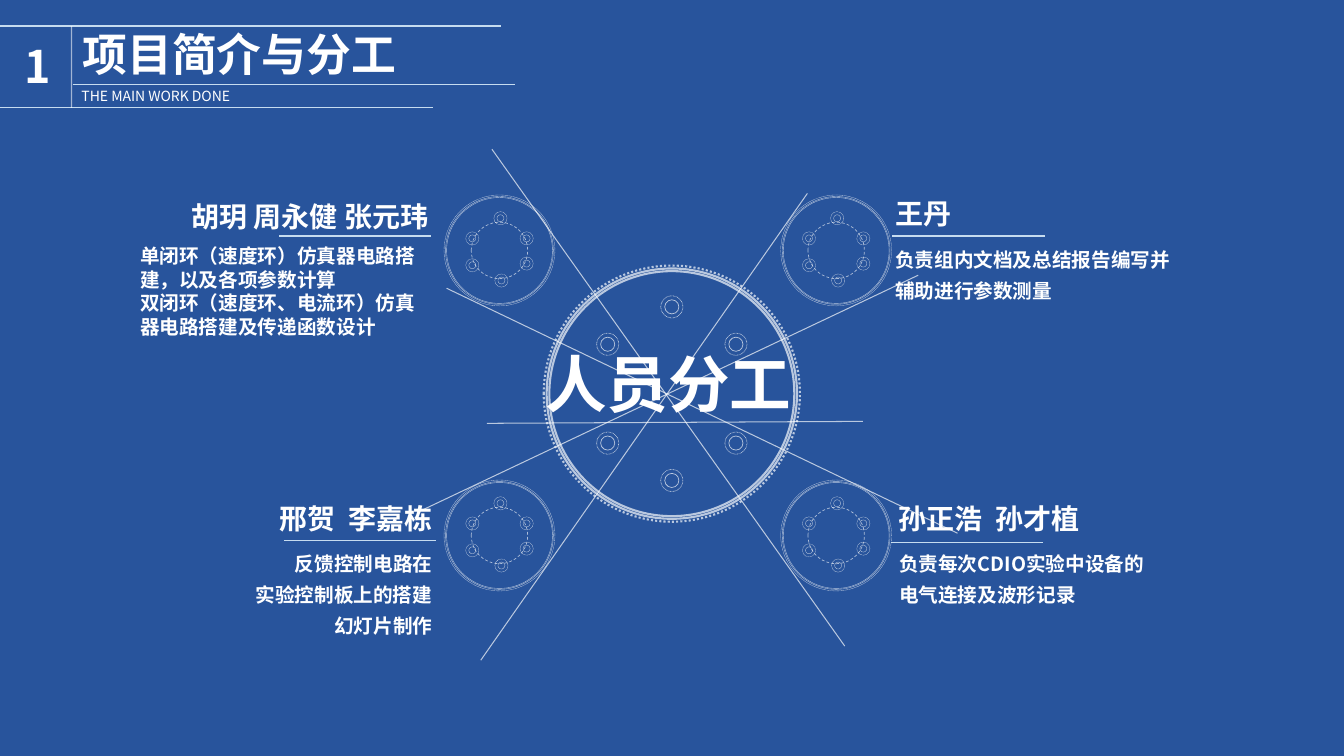
"""Build the slide on project introduction and division of work."""
from dataclasses import dataclass
from itertools import product
from typing import Optional

from lxml.etree import SubElement
from pptx import Presentation
from pptx.dml.color import RGBColor
from pptx.enum.dml import MSO_LINE as Dash
from pptx.enum.shapes import MSO_CONNECTOR as Conn, MSO_SHAPE as Shp
from pptx.enum.text import MSO_ANCHOR as Anchor, MSO_AUTO_SIZE as Auto, PP_ALIGN as Al
from pptx.oxml.ns import qn
from pptx.util import Pt


@dataclass(frozen=True)
class Theme:
    font: str = "Noto Sans CJK SC"
    back: str = "28549C"
    text: str = "FFFFFF"
    rule: str = "C6DCF0"
    hub_size: float = 44
    title_size: float = 32
    name_size: float = 20
    task_size: float = 14
    sub_size: float = 10


@dataclass(frozen=True)
class Pen:
    width: float
    color: str = "FFFFFF"
    alpha: int = 67
    dash: Optional[Dash] = None


@dataclass(frozen=True)
class Box:
    x: float
    y: float
    w: float
    h: float


@dataclass(frozen=True)
class Style:
    size: float
    bold: bool = True
    align: Al = Al.LEFT
    spacing: float = 1.0
    wrap: bool = True


@dataclass(frozen=True)
class Rule:
    x1: float
    y1: float
    x2: float
    y2: float


@dataclass(frozen=True)
class Team:
    holder: int
    names: str
    name_box: Box
    tasks: str
    task_box: Box
    underline: Rule
    name_align: Al = Al.LEFT
    task_align: Al = Al.LEFT
    spacing: float = 1.3


@dataclass(frozen=True)
class Wheel:
    rings: tuple[float, float, float]
    ring_width: float
    holes: tuple[tuple[float, float], ...]
    hole_sizes: tuple[float, float]
    hole_width: float


T = Theme()
RULE_PEN = Pen(1, T.rule, 100)
AXIS_PEN = Pen(0.75)
PITCH_PEN = Pen(0.5, alpha=61, dash=Dash.DASH)
PITCH_SIZE = 40.3

HEADER_RULES = (
    Rule(0, 18.7, 357.8, 18.7),
    Rule(0, 77, 309.6, 77),
    Rule(51.8, 60.5, 367.9, 60.5),
)
DIVIDER = Rule(51.1, 18.7, 51.1, 77)
AXES = (
    Rule(347.8, 302.4, 616.3, 301),
    Rule(319, 205.9, 684, 380.9),
    Rule(351.4, 106.6, 603.4, 461.5),
    Rule(343.4, 471.6, 576.7, 138.2),
    Rule(301.7, 364.3, 655.9, 196.6),
)
HUB_CENTER = (479.9, 281.2)
HUB = Wheel((175, 178.8, 183), 1.5,
            ((0, -62), (0, 62), *product((-45.8, 45.8), (-35.3, 35.3))),
            (15.8, 10.1), 0.5)
ROLLER_CENTERS = tuple(product((356.8, 597.3), (178.9, 382.5)))
ROLLER = Wheel((75.6, 77, 79.2), 0.25,
               ((0.7, -23), (-19.4, -8.6), (-19.4, 10.6),
                (1.4, 21.5), (19.4, -8.6), (19.4, 9.4)),
               (9.4, 5), 0.25)

TEAMS = (
    Team(1, "胡玥 周永健 张元玮", Box(100.1, 139, 213.1, 31.7),
         "单闭环（速度环）仿真器电路搭建，以及各项参数计算\n"
         "双闭环（速度环、电流环）仿真器电路搭建及传递函数设计",
         Box(92.9, 170.6, 220.3, 74.9), Rule(199.4, 168.5, 308.2, 168.5),
         name_align=Al.RIGHT, spacing=1.0),
    Team(2, "邢贺  李嘉栋", Box(178.6, 355, 137.5, 31.7),
         "反馈控制电路在\n实验控制板上的搭建\n幻灯片制作",
         Box(100.1, 385.9, 216, 73.4), Rule(203, 385.9, 311.8, 385.9),
         name_align=Al.RIGHT, task_align=Al.RIGHT),
    Team(3, "孙正浩  孙才植", Box(635, 355, 215.3, 31.7),
         "负责每次CDIO实验中设备的\n电气连接及波形记录",
         Box(635, 385.9, 215.3, 49), Rule(636.5, 387.4, 745.2, 387.4)),
    Team(4, "王丹", Box(632.2, 136.8, 111.6, 31.7),
         "负责组内文档及总结报告编写并辅助进行参数测量",
         Box(632.2, 168.5, 218.2, 51.1), Rule(637.2, 168.5, 746.6, 168.5)),
)


def write(sp, box: Box, text: str, style: Style) -> None:
    sp.left, sp.top, sp.width, sp.height = (Pt(v) for v in (box.x, box.y, box.w, box.h))
    tf = sp.text_frame
    tf.text = text
    tf.word_wrap, tf.auto_size, tf.vertical_anchor = style.wrap, Auto.NONE, Anchor.TOP
    for p in tf.paragraphs:
        p.alignment, p.line_spacing = style.align, style.spacing
        p.space_before = p.space_after = Pt(0)
        pPr = p._p.get_or_add_pPr()
        pPr.set("marL", "0")
        pPr.set("indent", "0")
        SubElement(pPr, qn("a:buNone"))
        for r in p.runs:
            r.font.size, r.font.bold, r.font.name = Pt(style.size), style.bold, T.font
            r.font.color.rgb = RGBColor.from_string(T.text)
            SubElement(r._r.get_or_add_rPr(), qn("a:ea"), typeface=T.font)


def add_text(shapes, box: Box, text: str, style: Style) -> None:
    write(shapes.add_textbox(0, 0, 0, 0), box, text, style)


def stroke(line, pen: Pen) -> None:
    line.width = Pt(pen.width)
    line.color.rgb = RGBColor.from_string(pen.color)
    if pen.dash is not None:
        line.dash_style = pen.dash
    if pen.alpha < 100:
        for clr in line._ln.iter(qn("a:srgbClr")):
            SubElement(clr, qn("a:alpha"), val=str(pen.alpha * 1000))


def add_rule(shapes, rule: Rule, pen: Pen) -> None:
    ends = (Pt(v) for v in (rule.x1, rule.y1, rule.x2, rule.y2))
    sp = shapes.add_connector(Conn.STRAIGHT, *ends)
    stroke(sp.line, pen)
    SubElement(sp._element.spPr, qn("a:effectLst"))


def add_circle(shapes, cx: float, cy: float, size: float, pen: Pen) -> None:
    sp = shapes.add_shape(Shp.OVAL, Pt(cx - size / 2), Pt(cy - size / 2), Pt(size), Pt(size))
    sp.shadow.inherit = False
    sp.fill.background()
    stroke(sp.line, pen)


def add_wheel(shapes, cx: float, cy: float, wheel: Wheel) -> None:
    for size, dash in zip(wheel.rings, (None, None, Dash.ROUND_DOT)):
        add_circle(shapes, cx, cy, size, Pen(wheel.ring_width, dash=dash))
    for dx, dy in wheel.holes:
        for size, dash in zip(wheel.hole_sizes, (Dash.ROUND_DOT, None)):
            add_circle(shapes, cx + dx, cy + dy, size, Pen(wheel.hole_width, dash=dash))


def main() -> None:
    prs = Presentation()
    prs.slide_width, prs.slide_height = Pt(960), Pt(540)
    s = prs.slides.add_slide(prs.slide_layouts.get_by_name("Comparison"))
    s.background.fill.solid()
    s.background.fill.fore_color.rgb = RGBColor.from_string(T.back)
    shapes = s.shapes

    write(shapes.title, Box(51.8, 15.8, 240.5, 46.1), "项目简介与分工",
          Style(T.title_size, wrap=False))
    add_text(shapes, Box(10.1, 23.8, 31.7, 46.1), "1", Style(T.title_size))
    add_text(shapes, Box(51.1, 59, 131.8, 19.4), "THE MAIN WORK DONE",
             Style(T.sub_size, bold=False, wrap=False))
    for rule in HEADER_RULES:
        add_rule(shapes, rule, RULE_PEN)
    add_rule(shapes, DIVIDER, Pen(1, alpha=56))

    holders = {ph.placeholder_format.idx: ph for ph in s.placeholders}
    for team in TEAMS:
        add_text(shapes, team.name_box, team.names, Style(T.name_size, align=team.name_align))
        write(holders[team.holder], team.task_box, team.tasks,
              Style(T.task_size, align=team.task_align, spacing=team.spacing))
        add_rule(shapes, team.underline, RULE_PEN)
    add_text(shapes, Box(382.3, 243.4, 192.2, 60.5), "人员分工", Style(T.hub_size, wrap=False))

    drive = shapes.add_group_shape().shapes
    add_wheel(drive, *HUB_CENTER, HUB)
    for axis in AXES:
        add_rule(drive, axis, AXIS_PEN)
    for center in ROLLER_CENTERS:
        add_wheel(drive, *center, ROLLER)
        add_circle(drive, *center, PITCH_SIZE, PITCH_PEN)
    prs.save("out.pptx")


if __name__ == "__main__":
    main()
